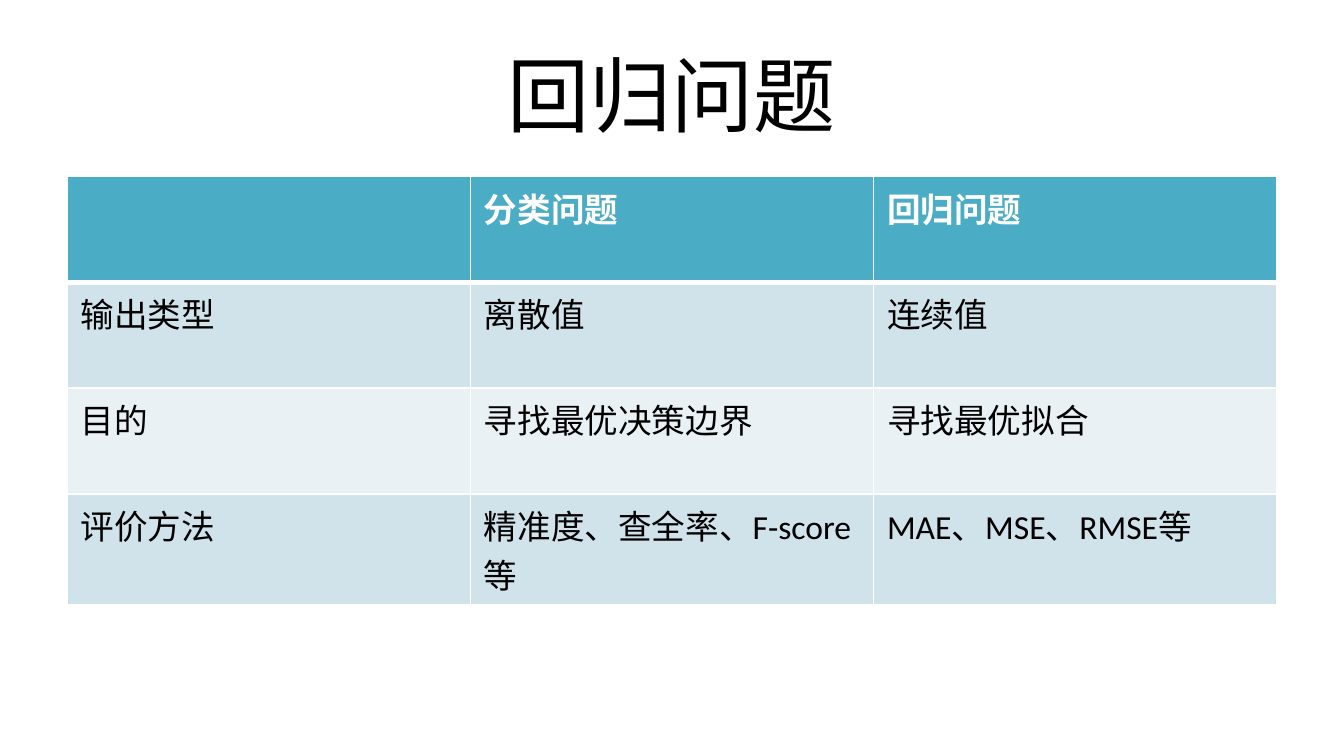
import dataclasses

import lxml.etree
import pptx
import pptx.dml.color
import pptx.enum.text
import pptx.oxml.ns
import pptx.util

COLORS = {
    "header": "4BACC6",
    "band_dark": "D0E3EA",
    "band_light": "E9F1F5",
    "white": "FFFFFF",
    "black": "000000",
}
FONT = "Calibri"
SLIDE_WIDTH = 10
SLIDE_HEIGHT = SLIDE_WIDTH * 9 / 16
MARGIN = SLIDE_WIDTH / 20
CONTENT_WIDTH = SLIDE_WIDTH - 2 * MARGIN
TITLE_TOP, TITLE_HEIGHT = 0.23, SLIDE_HEIGHT / 6
TABLE_TOP, TABLE_HEIGHT = SLIDE_HEIGHT * 7 / 30, SLIDE_HEIGHT * 0.56


@dataclasses.dataclass(frozen=True)
class TableRow:
    texts: tuple[str, ...]
    fill: str
    color: str = "black"
    bold: bool = False
    top_line: float = 1
    bottom_line: float = 1


ROWS = (
    TableRow(("", "分类问题", "回归问题"), "header", "white", True, bottom_line=3),
    TableRow(("输出类型", "离散值", "连续值"), "band_dark", top_line=3),
    TableRow(("目的", "寻找最优决策边界", "寻找最优拟合"), "band_light"),
    TableRow(("评价方法", "精准度、查全率、F-score等", "MAE、MSE、RMSE等"), "band_dark"),
)


def rgb(name: str) -> pptx.dml.color.RGBColor:
    return pptx.dml.color.RGBColor.from_string(COLORS[name])


def add_text(para, text: str, size: float, color: str, bold: bool = False) -> None:
    span = para.add_run()
    span.text = text
    span.font.name = FONT
    span.font.size = pptx.util.Pt(size)
    span.font.bold = bold
    span.font.color.rgb = rgb(color)


def set_borders(cell, row: TableRow) -> None:
    properties = cell._tc.get_or_add_tcPr()
    qn = pptx.oxml.ns.qn
    widths = {"L": 1, "R": 1, "T": row.top_line, "B": row.bottom_line}
    for side, width in widths.items():
        line = lxml.etree.SubElement(
            properties, qn(f"a:ln{side}"), w=str(int(pptx.util.Pt(width)))
        )
        fill = lxml.etree.SubElement(line, qn("a:solidFill"))
        lxml.etree.SubElement(fill, qn("a:srgbClr"), val=COLORS["white"])


def format_cell(cell, text: str, row: TableRow) -> None:
    set_borders(cell, row)
    cell.fill.solid()
    cell.fill.fore_color.rgb = rgb(row.fill)
    if text:
        add_text(cell.text_frame.paragraphs[0], text, 18, row.color, row.bold)


def add_title(page, text: str) -> None:
    title = page.shapes.title
    title.left, title.top, title.width, title.height = map(
        pptx.util.Inches, (MARGIN, TITLE_TOP, CONTENT_WIDTH, TITLE_HEIGHT)
    )
    title.text_frame.vertical_anchor = pptx.enum.text.MSO_ANCHOR.MIDDLE
    para = title.text_frame.paragraphs[0]
    para.alignment = pptx.enum.text.PP_ALIGN.CENTER
    add_text(para, text, 44, "black")


def add_comparison(page, rows: tuple[TableRow, ...]) -> None:
    box = map(pptx.util.Inches, (MARGIN, TABLE_TOP, CONTENT_WIDTH, TABLE_HEIGHT))
    table = page.shapes.add_table(len(rows), len(rows[0].texts), *box).table
    for row_index, row in enumerate(rows):
        for column_index, text in enumerate(row.texts):
            format_cell(table.cell(row_index, column_index), text, row)


deck = pptx.Presentation()
deck.slide_width = pptx.util.Inches(SLIDE_WIDTH)
deck.slide_height = pptx.util.Inches(SLIDE_HEIGHT)
page = deck.slides.add_slide(deck.slide_layouts.get_by_name("Title Only"))
add_title(page, "回归问题")
add_comparison(page, ROWS)
deck.save("out.pptx")
